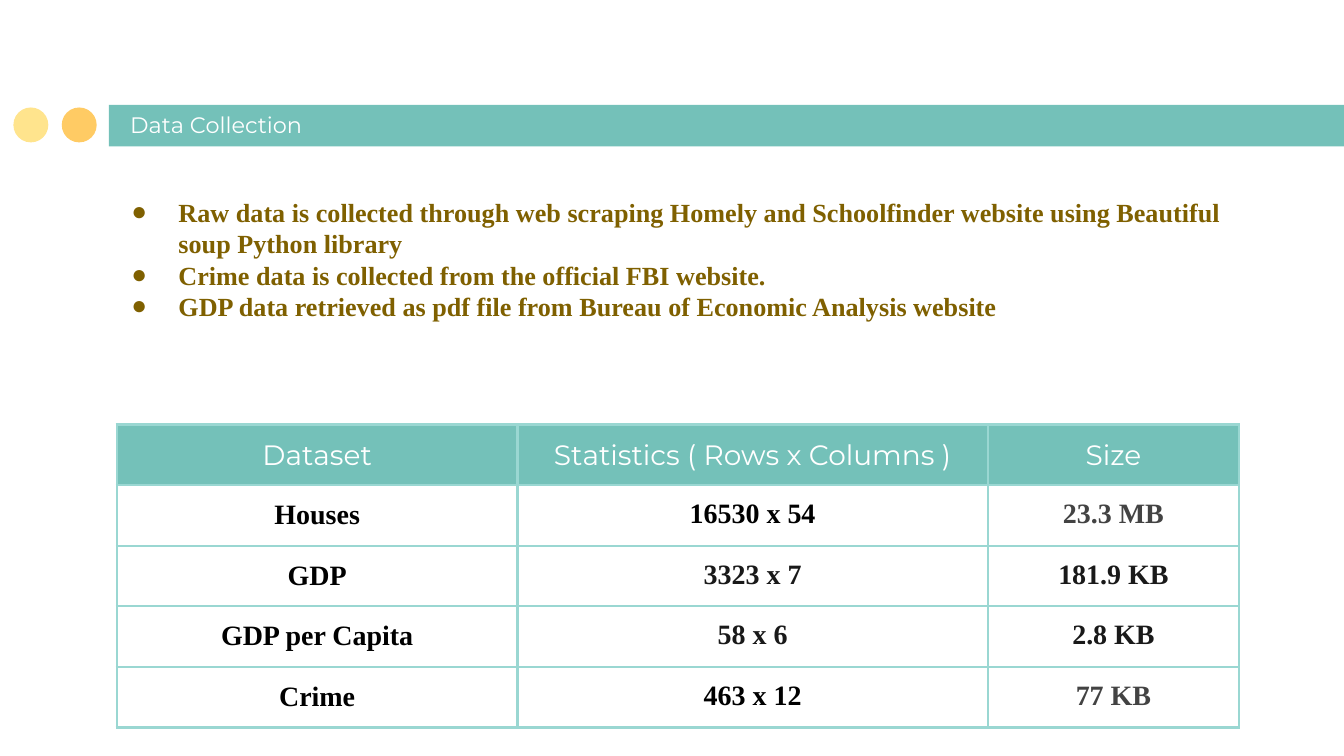
from lxml import etree
from pptx import Presentation, util as u
from pptx.dml.color import RGBColor
from pptx.enum import shapes, text
from pptx.oxml import ns

TEAL, BORDER, WHITE, BLACK = "74C1B9", "9AD7D2", "FFFFFF", "000000"
NEAR_BLACK, GRAY, BROWN = "191919", "434343", "7F6000"
SANS, SERIF = "Montserrat", "Times New Roman"

BULLETS = [
    "Raw data is collected through web scraping Homely and Schoolfinder website "
    "using Beautiful soup Python library",
    "Crime data is collected from the official FBI website.",
    "GDP data retrieved as pdf file from Bureau of Economic Analysis website",
]
HEADERS = ["Dataset", "Statistics ( Rows x Columns )", "Size"]
DATASETS = [
    [("Houses", BLACK), ("16530 x 54", BLACK), ("23.3 MB", GRAY)],
    [("GDP", BLACK), ("3323 x 7", NEAR_BLACK), ("181.9 KB", NEAR_BLACK)],
    [("GDP per Capita", BLACK), ("58 x 6", NEAR_BLACK), ("2.8 KB", NEAR_BLACK)],
    [("Crime", BLACK), ("463 x 12", BLACK), ("77 KB", GRAY)],
]


def color(value):
    """Return the colour for a hex string."""
    return RGBColor.from_string(value)


def add_child(parent, tag, **attributes):
    """Append a DrawingML element to a parent."""
    return etree.SubElement(parent, ns.qn(f"a:{tag}"), attributes)


def write(paragraph, content, size=14, font=SERIF, fill=BLACK, bold=False, align=None):
    """Put formatted text in a paragraph."""
    run = paragraph.add_run()
    run.text = content
    paragraph.alignment = align
    for target in (paragraph.font, run.font):
        target.size = u.Pt(size)
        target.name = font
        target.bold = bold
        target.color.rgb = color(fill)


def set_bullet(paragraph, fill):
    """Give a paragraph a hanging round bullet."""
    properties = paragraph._p.get_or_add_pPr()
    properties.set("marL", str(u.Inches(0.5)))
    properties.set("indent", str(u.Inches(-0.35)))
    add_child(add_child(properties, "buClr"), "srgbClr", val=fill)
    add_child(properties, "buFont", typeface=SERIF)
    add_child(properties, "buChar", char="●")


def set_margins(target):
    """Set equal inner margins on a text frame or cell."""
    for side in ("left", "top", "right", "bottom"):
        setattr(target, f"margin_{side}", u.Inches(0.1))


def add_frame(slide, left, top, width, height, anchor):
    """Add a wrapping text box and return its frame."""
    box = slide.shapes.add_textbox(*map(u.Inches, (left, top, width, height)))
    frame = box.text_frame
    frame.word_wrap = True
    frame.vertical_anchor = anchor
    set_margins(frame)
    return frame


def add_block(slide, kind, left, top, width, height, fill):
    """Add a plain filled shape."""
    shape = slide.shapes.add_shape(kind, *map(u.Inches, (left, top, width, height)))
    shape.shadow.inherit = False
    shape.fill.solid()
    shape.fill.fore_color.rgb = color(fill)
    shape.line.fill.background()


def add_title_band(slide, left, top, width, height):
    """Draw the title bar with its two leading dots."""
    bar_offset, dot = 0.71, 0.26
    kinds = shapes.MSO_SHAPE
    add_block(slide, kinds.RECTANGLE, left + bar_offset, top, width - bar_offset, height, TEAL)
    for offset, fill in ((0.36, "FFCB64"), (0, "FFE48D")):
        add_block(slide, kinds.OVAL, left + offset, top + 0.02, dot, dot, fill)
    frame = add_frame(slide, left + 0.77, top + 0.01, 5.48, 0.34, text.MSO_ANCHOR.BOTTOM)
    write(frame.paragraphs[0], "Data Collection", size=12, font=SANS, fill=WHITE)


def add_bullets(slide, left, top, width, height):
    """Write the list of data sources."""
    frame = add_frame(slide, left, top, width, height, text.MSO_ANCHOR.TOP)
    for index, content in enumerate(BULLETS):
        paragraph = frame.add_paragraph() if index else frame.paragraphs[0]
        set_bullet(paragraph, BROWN)
        write(paragraph, content, fill=BROWN, bold=True)


def fill_cell(cell, content, background=None, anchor=text.MSO_ANCHOR.TOP, **style):
    """Write one bordered table cell."""
    properties = cell._tc.get_or_add_tcPr()
    for side in ("lnL", "lnR", "lnT", "lnB"):
        line = add_child(properties, side, w=str(u.Pt(1.5)))
        add_child(add_child(line, "solidFill"), "srgbClr", val=BORDER)
    if background:
        cell.fill.solid()
        cell.fill.fore_color.rgb = color(background)
    else:
        cell.fill.background()
    set_margins(cell)
    cell.vertical_anchor = anchor
    write(cell.text_frame.paragraphs[0], content, size=15, align=text.PP_ALIGN.CENTER, **style)


def add_dataset_table(slide, left, top, width, height):
    """Build the table of dataset statistics."""
    frame = slide.shapes.add_table(
        len(DATASETS) + 1, len(HEADERS), *map(u.Inches, (left, top, width, height)))
    table = frame.table
    for column, share in zip(table.columns, (2.98, 3.5, 1.87)):
        column.width = u.Inches(width * share / 8.35)
    middle = text.MSO_ANCHOR.MIDDLE
    for index, content in enumerate(HEADERS):
        fill_cell(table.cell(0, index), content, TEAL, middle, font=SANS, fill=WHITE)
    for row, entries in enumerate(DATASETS, 1):
        for index, (content, fill) in enumerate(entries):
            look = {} if index else {"background": WHITE, "anchor": middle}
            fill_cell(table.cell(row, index), content, fill=fill, bold=True, **look)


def main():
    """Build and save the slide."""
    presentation = Presentation()
    presentation.slide_width = u.Inches(10)
    presentation.slide_height = presentation.slide_width * 9 // 16
    slide = presentation.slides.add_slide(presentation.slide_layouts[6])
    add_title_band(slide, 0.1, 0.78, 10.21, 0.31)
    add_bullets(slide, 0.73, 1.36, 8.7, 1.75)
    add_dataset_table(slide, 0.87, 3.16, 8.35, 2.1)
    presentation.save("out.pptx")


if __name__ == "__main__":
    main()
